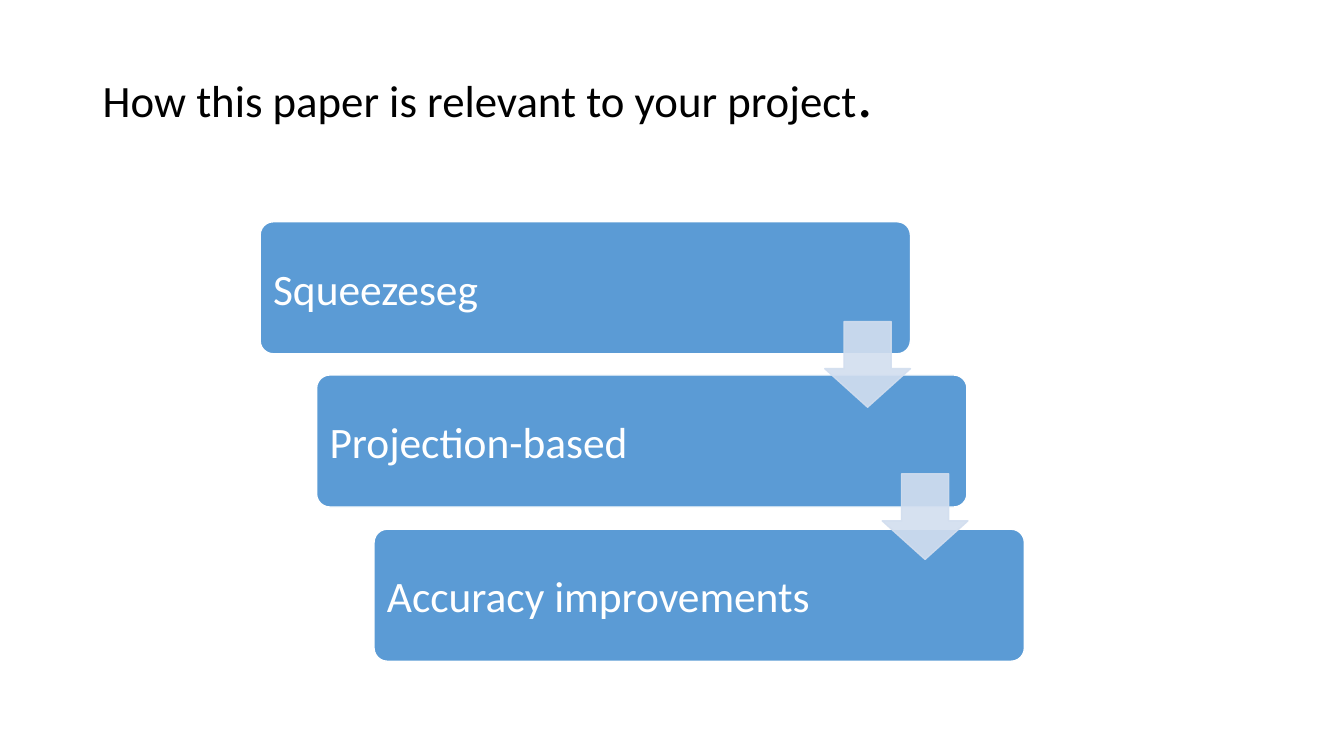
from lxml.etree import SubElement
from pptx import Presentation
from pptx.dml.color import RGBColor
from pptx.enum.shapes import MSO_SHAPE
from pptx.enum.text import MSO_ANCHOR, PP_ALIGN
from pptx.oxml.ns import qn
from pptx.util import Emu, Pt

EMU_PER_PX = 9144  # 100 px to the inch


def px(length):
    return Emu(length * EMU_PER_PX)


def color(value):
    return RGBColor.from_string(value)


class StepSlide:
    font = "Calibri"
    ink, paper, step_blue, arrow_blue = "000000", "FFFFFF", "5B9BD5", "D2DEEF"

    def __init__(self, deck):
        self.page = deck.slides.add_slide(deck.slide_layouts[6])

    def fill_text(self, box, spans, ink, side_inset, line_spacing=1.0):
        frame = box.text_frame
        frame_format = {
            "word_wrap": True,
            "vertical_anchor": MSO_ANCHOR.MIDDLE,
            "margin_left": px(side_inset),
            "margin_right": px(side_inset),
        }
        for name, value in frame_format.items():
            setattr(frame, name, value)
        para = frame.paragraphs[0]
        para.alignment = PP_ALIGN.LEFT
        para.line_spacing = line_spacing
        for text, size in spans:
            span = para.add_run()
            span.text = text
            for name, value in {"name": self.font, "size": Pt(size)}.items():
                setattr(span.font, name, value)
            span.font.color.rgb = color(ink)

    def title(self, spans, *place):
        box = self.page.shapes.add_textbox(*map(px, place))
        self.fill_text(box, spans, self.ink, 10, 0.9)

    def shape(self, kind, place, adjustments, fill, line, opacity=100):
        shape = self.page.shapes.add_shape(kind, *map(px, place))
        shape.shadow.inherit = False
        for index, value in enumerate(adjustments):
            shape.adjustments[index] = value
        shape.line.width = Pt(1)
        for paint, value in ((shape.fill, fill), (shape.line.fill, line)):
            paint.solid()
            paint.fore_color.rgb = color(value)
        if opacity < 100:
            for tint in shape.element.spPr.iter(qn("a:srgbClr")):
                SubElement(tint, qn("a:alpha"), val=str(opacity * 1000))
        return shape

    def step(self, text, *place):
        box = self.shape(MSO_SHAPE.ROUNDED_RECTANGLE, place, [0.1],
                         self.step_blue, self.paper)
        self.fill_text(box, [(text, 31)], self.paper, 9)

    def arrow(self, *place):
        self.shape(MSO_SHAPE.DOWN_ARROW, place, [0.55, 0.45],
                   self.arrow_blue, self.arrow_blue, 90)


def main():
    deck = Presentation()
    deck.slide_width, deck.slide_height = px(1333), px(750)
    slide = StepSlide(deck)

    # Title
    slide.title([("How this paper is relevant to your project", 32), (".", 44)],
                92, 40, 1091, 114)

    # Staircase of steps
    steps = ["Squeezeseg", "Projection-based", "Accuracy improvements"]
    for index, text in enumerate(steps):
        slide.step(text, 258 + index * 113 // 2, 220 + index * 305 // 2, 645, 131)

    # Arrows between neighbouring steps
    for index in range(len(steps) - 1):
        slide.arrow(818 + index * 57, 319 + index * 151, 85, 85)

    deck.save("out.pptx")


if __name__ == "__main__":
    main()
